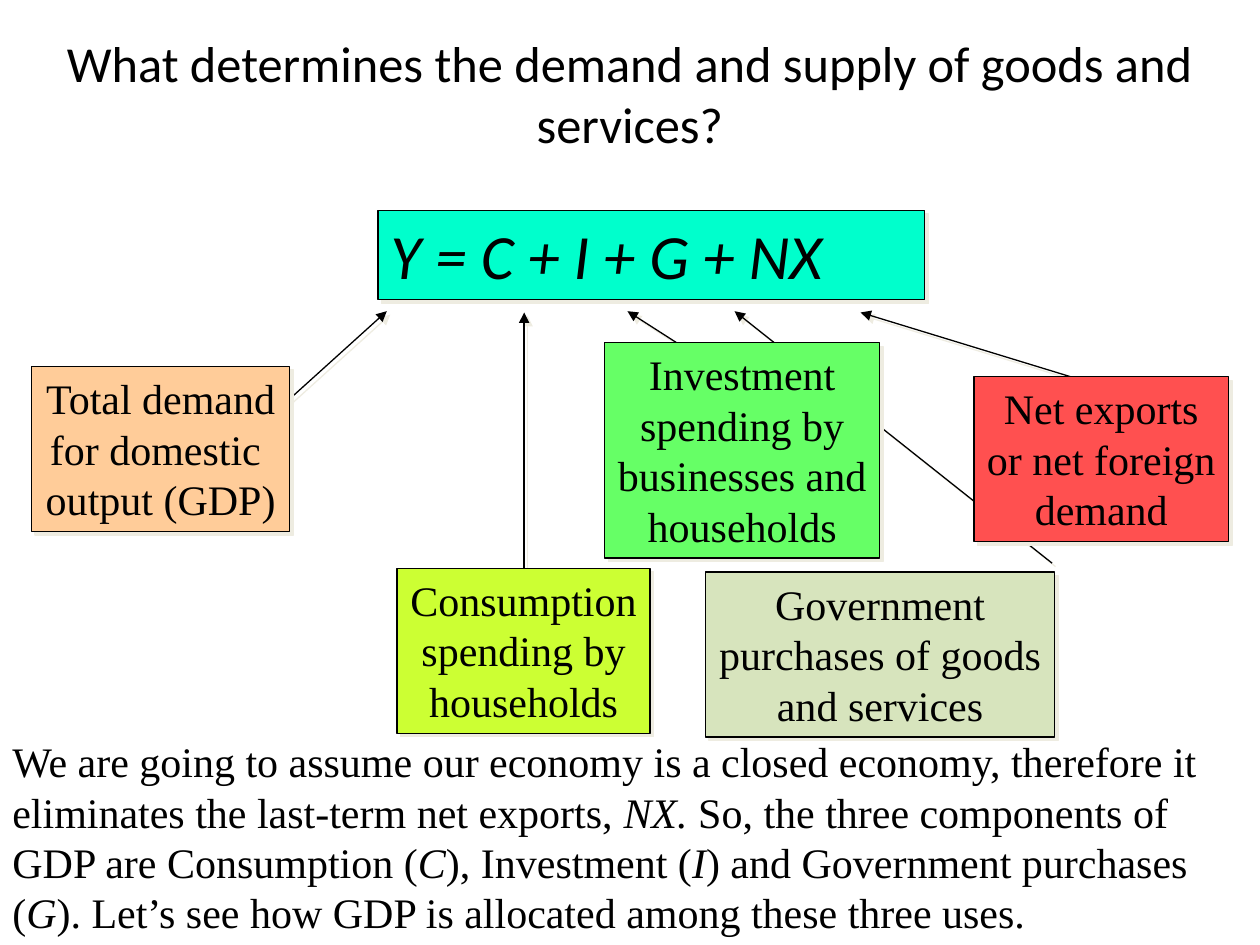
from dataclasses import dataclass

from lxml.etree import SubElement
from pptx import Presentation
from pptx.dml.color import RGBColor
from pptx.enum.shapes import MSO_CONNECTOR as Connector
from pptx.enum.text import MSO_ANCHOR as Anchor, PP_ALIGN as Align
from pptx.oxml.ns import qn
from pptx.util import Inches, Pt

BLACK = RGBColor(0x00, 0x00, 0x00)
WHITE = RGBColor(0xFF, 0xFF, 0xFF)
TURQUOISE = RGBColor(0x00, 0xFF, 0xCC)
PEACH = RGBColor(0xFF, 0xCC, 0x99)
LIME = RGBColor(0xCC, 0xFF, 0x33)
SAGE = RGBColor(0xD7, 0xE4, 0xBD)
GREEN = RGBColor(0x66, 0xFF, 0x66)
RED = RGBColor(0xFF, 0x50, 0x50)
SHADOW = RGBColor(0xEE, 0xEC, 0xE1)

SANS = "Calibri"
SERIF = "Times New Roman"
OUTLINE = Pt(0.75)


@dataclass
class Term:
    """A coloured explanation and the arrow to its symbol."""
    lines: list[str]
    area: tuple[float, float, float, float]
    fill: RGBColor
    start: tuple[float, float]
    tip: tuple[float, float]


TOTAL = Term(["Total demand", "for domestic ", "output (GDP)"],
             (0.25, 2.91, 2.05, 1.31), PEACH, (2.24, 3.22), (3.07, 2.47))
COMPONENTS = [
    Term(["Consumption", "spending by", "households"],
         (3.15, 4.51, 2.01, 1.31), LIME, (4.16, 4.51), (4.16, 2.48)),
    Term(["Government", "purchases of goods", "and services"],
         (5.6, 4.54, 2.77, 1.31), SAGE, (8.35, 4.47), (5.83, 2.47)),
    Term(["Investment", "spending by", "businesses and", "households"],
         (4.8, 2.72, 2.18, 1.71), GREEN, (5.62, 2.88), (4.98, 2.47)),
    Term(["Net exports", "or net foreign", "demand"],
         (7.73, 2.99, 2.02, 1.31), RED, (8.66, 3.04), (6.83, 2.48)),
]
# Spans alternate between upright and italic.
NOTE = [
    "We are going to assume our economy is a closed economy, therefore it "
    "eliminates the last-term net exports, ", "NX.",
    " So, the three components of GDP are Consumption (", "C",
    "), Investment (", "I", ") and Government purchases (", "G",
    "). Let’s see how GDP is allocated among these three uses.",
]


def add_shadow(shape) -> None:
    """Give an outlined shape a hard shadow to the lower right."""
    effects = SubElement(shape._element.spPr, qn("a:effectLst"))
    outer = SubElement(effects, qn("a:outerShdw"), dist=str(Pt(2.8)),
                       dir=str(45 * 60000), algn="ctr", rotWithShape="0")
    SubElement(outer, qn("a:srgbClr"), val=str(SHADOW))


def add_box(page, area, lines, font: str, size: float, align=Align.LEFT,
            fill=None, outlined=False, wrap=True):
    """Add a text box with one paragraph per list of spans."""
    box = page.shapes.add_textbox(*map(Inches, area))
    if fill is not None:
        box.fill.solid()
        box.fill.fore_color.rgb = fill
    if outlined:
        box.line.color.rgb = BLACK
        box.line.width = OUTLINE
        add_shadow(box)
    frame = box.text_frame
    frame.word_wrap = wrap
    for index, spans in enumerate(lines):
        para = frame.add_paragraph() if index else frame.paragraphs[0]
        para.alignment = align
        para.font.name = font
        para.font.size = Pt(size)
        para.font.color.rgb = BLACK
        for position, text in enumerate(spans):
            span = para.add_run()
            span.text = text
            if position % 2:
                span.font.italic = True
    return box


def add_arrow(page, start, tip) -> None:
    """Add a shadowed arrow from start to tip."""
    arrow = page.shapes.add_connector(
        Connector.STRAIGHT, *map(Inches, (*start, *tip)))
    arrow.line.color.rgb = BLACK
    arrow.line.width = OUTLINE
    SubElement(arrow.line._get_or_add_ln(), qn("a:tailEnd"), type="triangle")
    add_shadow(arrow)


def add_term(page, term: Term) -> None:
    """Add an arrow with its explanation on top."""
    add_arrow(page, term.start, term.tip)
    add_box(page, term.area, [[line] for line in term.lines], SERIF, 24,
            Align.CENTER, term.fill, outlined=True, wrap=False)


def main() -> None:
    """Build and save the slide."""
    deck = Presentation()
    deck.slide_width, deck.slide_height = Inches(10), Inches(7.5)
    page = deck.slides.add_slide(deck.slide_layouts[6])

    equation = add_box(page, (3, 1.67, 4.34, 0.71), [["Y = C + I + G + NX"]],
                       SANS, 36, fill=TURQUOISE, outlined=True)
    equation.text_frame.paragraphs[0].font.italic = True
    add_term(page, TOTAL)
    add_box(page, (0, 5.79, 10, 1.7), [NOTE], SERIF, 24, fill=WHITE)
    for term in COMPONENTS:
        add_term(page, term)
    title = add_box(
        page, (0.25, 0.26, 9.5, 0.95),
        [["What determines the demand and supply of goods and services?"]],
        SANS, 28.8, Align.CENTER)
    title.text_frame.vertical_anchor = Anchor.MIDDLE

    deck.save("out.pptx")


main()
